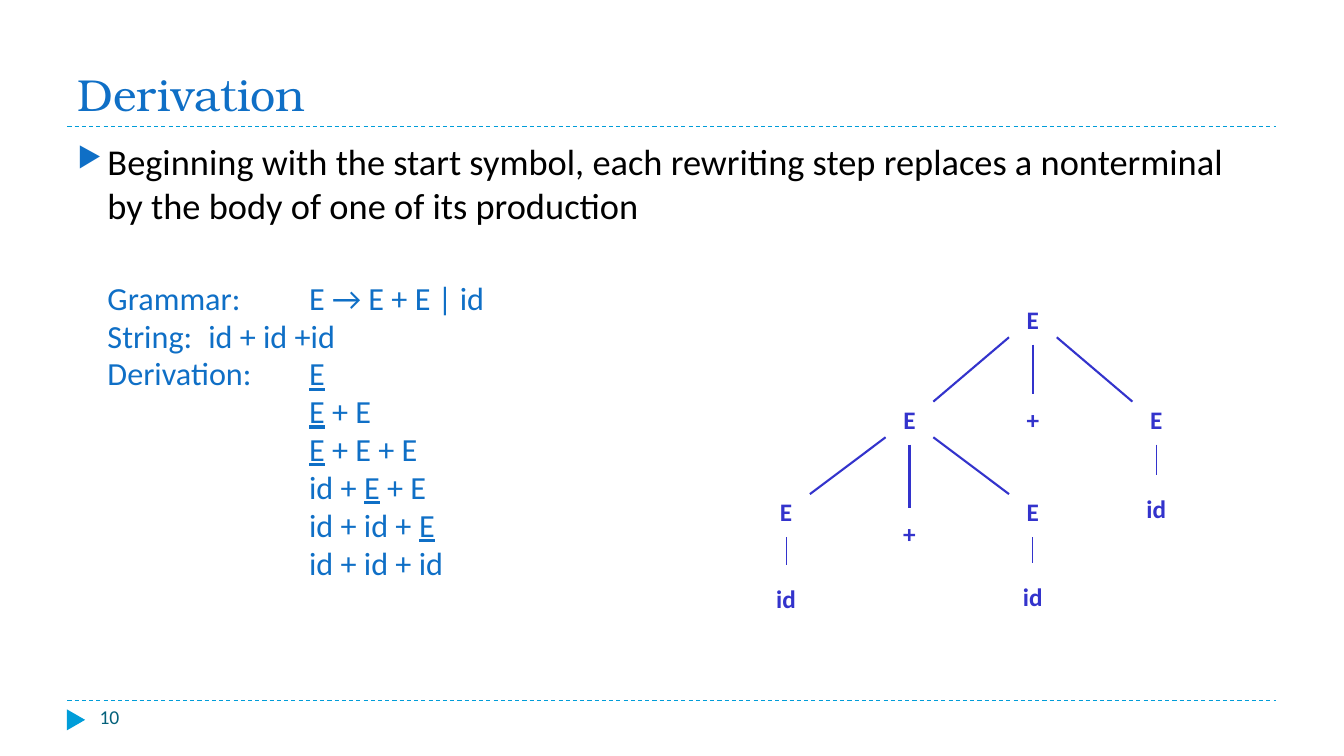
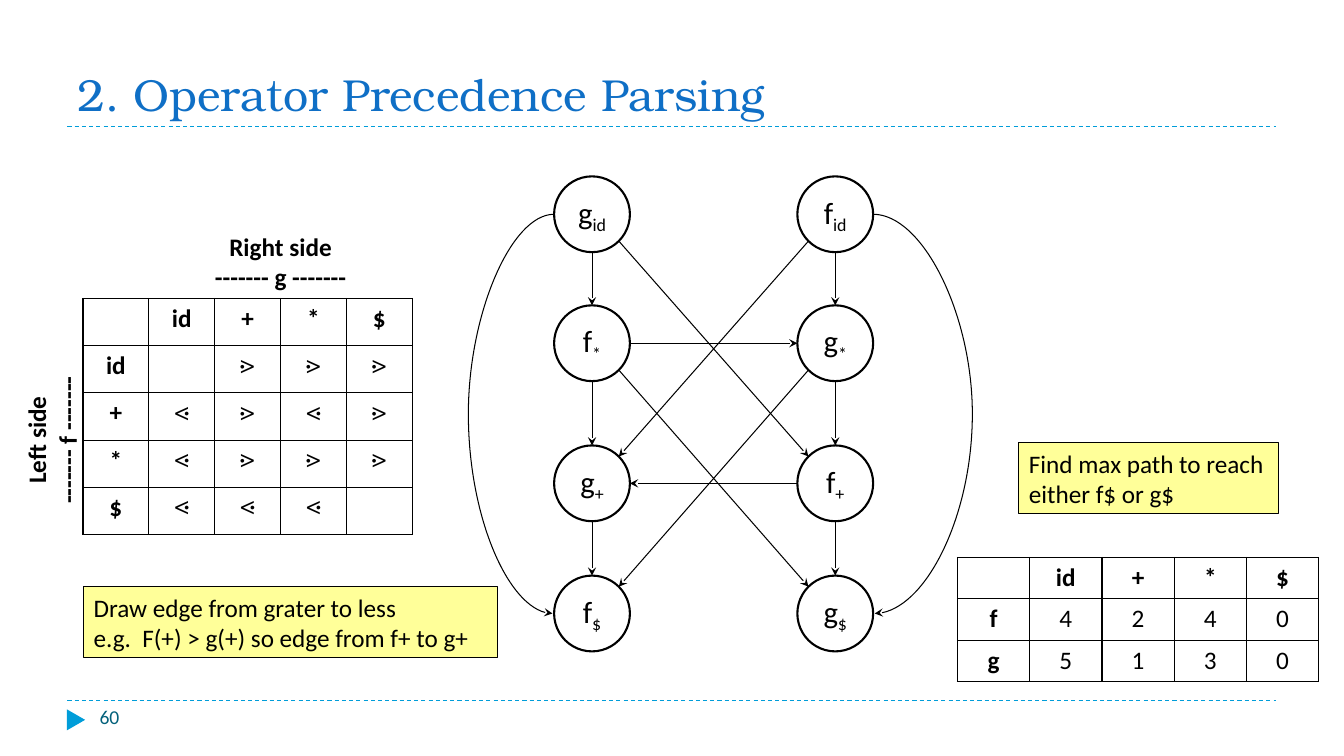
from dataclasses import dataclass

from lxml import etree
from pptx import Presentation
from pptx import util as u
from pptx.dml.color import RGBColor
from pptx.enum import dml, shapes, text
from pptx.oxml.ns import qn

Cm, Pt = u.Cm, u.Pt
BLACK, WHITE, BLUE, CYAN = "000000", "FFFFFF", "0F6FC6", "009DD9"
TEAL, INDIGO, YELLOW = "04617B", "3333CC", "FFFF99"
CENTER, LEFT = text.PP_ALIGN.CENTER, text.PP_ALIGN.LEFT
BODY = dict(name="Calibri", size=Pt(18), bold=False)
NO_STYLE = "{2D5ABB26-0587-4C30-8999-92F81FD0307C}"
SUBSCRIPT = "-25000"


@dataclass
class Node:
    key: str
    label: str
    x: float  # centre
    y: float
    w: float
    h: float


@dataclass
class Grid:
    x: float
    y: float
    col: float
    rows: list[float]
    cells: list[list[str]]
    first: int = 0  # first ruled row and column
    inner_font: str = "Calibri"


@dataclass
class Note:
    x: float
    y: float
    w: float
    lines: list[str]


def rgb(value: str) -> RGBColor:
    return RGBColor.from_string(value)


def style(obj, **values) -> None:
    for name, value in values.items():
        setattr(obj, name, value)


def child(parent, tag: str, **attrs):
    return etree.SubElement(parent, qn(tag), attrs)


def write(tf, lines: list[str], color: str = BLACK, align=LEFT,
          underline: bool = False, **fmt) -> None:
    """Fill a frame; text between underscores is underlined or lowered."""
    for i, line in enumerate(lines):
        p = tf.paragraphs[0] if i == 0 else tf.add_paragraph()
        p.alignment = align
        for j, part in enumerate(line.split("_")):
            if not part:
                continue
            r = p.add_run()
            r.text = part
            style(r.font, **{**BODY, **fmt})
            r.font.color.rgb = rgb(color)
            if j % 2 and underline:
                r.font.underline = True
            elif j % 2:
                r.font._element.set("baseline", SUBSCRIPT)


def textbox(s, x: float, y: float, w: float, h: float):
    tf = s.shapes.add_textbox(Cm(x), Cm(y), Cm(w), Cm(h)).text_frame
    tf.word_wrap = True
    return tf


def add_shape(s, kind, x: float, y: float, w: float, h: float,
              fill: str = "", line: str = "", width: float = 0.75):
    sp = s.shapes.add_shape(kind, Cm(x), Cm(y), Cm(w), Cm(h))
    sp.shadow.inherit = False
    for color, part in ((fill, sp.fill), (line, sp.line.fill)):
        if color:
            part.solid()
            part.fore_color.rgb = rgb(color)
        else:
            part.background()
    if line:
        sp.line.width = Pt(width)
    return sp


def connect(s, start, end, color: str, width: float = 0.75, dash: bool = False,
            arrow: bool = False, kind=shapes.MSO_CONNECTOR.STRAIGHT):
    cx = s.shapes.add_connector(kind, *map(int, (*start, *end)))
    cx.line.color.rgb = rgb(color)
    cx.line.width = Pt(width)
    if dash:
        cx.line.dash_style = dml.MSO_LINE.DASH
    spPr = cx._element.spPr
    if arrow:
        child(spPr.find(qn("a:ln")), "a:tailEnd", type="stealth")
    child(spPr, "a:effectLst")
    return cx


def site(sp, dx: int, dy: int) -> tuple[float, float]:
    """Point on an ellipse in one of eight directions."""
    k = 0.5 ** 0.5 if dx and dy else 1
    return (sp.left + sp.width / 2 * (1 + k * dx),
            sp.top + sp.height / 2 * (1 + k * dy))


def link(s, a, b, color: str, width: float = 0.75, arrow: bool = False) -> None:
    """Join two ellipses on the sides that face each other."""
    (ax, ay), (bx, by) = site(a, 0, 0), site(b, 0, 0)
    gap = Cm(0.1)
    dx, dy = ((d > gap) - (d < -gap) for d in (bx - ax, by - ay))
    connect(s, site(a, dx, dy), site(b, -dx, -dy), color, width, arrow=arrow)


def arc(s, a, b, side: int, depth: float) -> None:
    """Curved arrow that leaves and enters on the same side."""
    step = 0.04
    (x, y1), (_, y2) = site(a, side, 0), site(b, side, 0)
    cx = connect(s, (x, y1), (x + side * Cm(step), y2), BLACK, arrow=True,
                 kind=shapes.MSO_CONNECTOR.CURVE)
    geom = cx._element.spPr.find(qn("a:prstGeom"))
    av = geom.find(qn("a:avLst"))
    if av is None:
        av = child(geom, "a:avLst")
    child(av, "a:gd", name="adj1", fmla=f"val {round(depth / step * 100000)}")


def add_nodes(s, nodes: list[Node], color: str, fill: str = "", line: str = "",
              **fmt) -> dict:
    made = {}
    for n in nodes:
        sp = add_shape(s, shapes.MSO_SHAPE.OVAL, n.x - n.w / 2, n.y - n.h / 2,
                       n.w, n.h, fill, line, 1.5)
        tf = sp.text_frame
        style(tf, margin_left=0, margin_right=0, margin_top=0, margin_bottom=0,
              word_wrap=False, vertical_anchor=text.MSO_ANCHOR.MIDDLE)
        write(tf, [n.label], color, CENTER, **fmt)
        made[n.key] = sp
    return made


def add_grid(s, g: Grid):
    ncols = len(g.cells[0])
    table = s.shapes.add_table(len(g.rows), ncols, Cm(g.x), Cm(g.y),
                               Cm(g.col * ncols), Cm(sum(g.rows))).table
    style(table, first_row=False, horz_banding=False)
    table._tbl.tblPr.find(qn("a:tableStyleId")).text = NO_STYLE
    for column in table.columns:
        column.width = Cm(g.col)
    for i, (height, values) in enumerate(zip(g.rows, g.cells)):
        table.rows[i].height = Cm(height)
        for j, value in enumerate(values):
            cell = table.cell(i, j)
            head = i <= g.first or j <= g.first
            if value:
                write(cell.text_frame, value.split("\n"), align=CENTER, bold=head,
                      name="Calibri" if head else g.inner_font)
            if min(i, j) >= g.first:
                for edge in "LRTB":
                    ln = child(cell._tc.get_or_add_tcPr(), f"a:ln{edge}", w="12700")
                    child(child(ln, "a:solidFill"), "a:srgbClr", val=BLACK)
            cell.fill.background()
    return table


def add_note(s, n: Note) -> None:
    sp = add_shape(s, shapes.MSO_SHAPE.RECTANGLE, n.x, n.y, n.w, 1.8, YELLOW, BLACK)
    sp.text_frame.word_wrap = True
    write(sp.text_frame, n.lines)


def new_slide(prs, title: str, number: int):
    s = prs.slides.add_slide(prs.slide_layouts[5])
    # Dashed rules, page marker and number
    for y in (17.65, 3.18):
        connect(s, (Cm(1.7), Cm(y)), (Cm(32.16), Cm(y)), CYAN, dash=True)
    marker = add_shape(s, shapes.MSO_SHAPE.ISOSCELES_TRIANGLE,
                       1.65, 17.91, 0.53, 0.46, CYAN)
    marker.rotation = 90
    write(textbox(s, 2.26, 17.65, 7.34, 1.02), [str(number)], TEAL, size=Pt(14))
    # Title
    sp = s.shapes.title
    style(sp, left=Cm(1.7), top=Cm(0.43), width=Cm(30.48), height=Cm(2.74))
    style(sp.text_frame, vertical_anchor=text.MSO_ANCHOR.BOTTOM,
          auto_size=text.MSO_AUTO_SIZE.NONE, word_wrap=True)
    write(sp.text_frame, [title], BLUE, name="TeX Gyre Bonum", size=Pt(32))
    return s


def derivation_slide(prs) -> None:
    s = new_slide(prs, "Derivation", 10)
    # Bulleted definition
    tf = textbox(s, 1.7, 3.38, 30.48, 2.6)
    pPr = tf.paragraphs[0]._p.get_or_add_pPr()
    pPr.set("marL", str(Cm(0.76)))
    pPr.set("indent", str(-Cm(0.76)))
    child(child(pPr, "a:buClr"), "a:srgbClr", val=BLUE)
    child(pPr, "a:buSzPct", val="76000")
    child(pPr, "a:buChar", char="▶")
    write(tf, ["Beginning with the start symbol, each rewriting step replaces "
               "a nonterminal by the body of one of its production"], size=Pt(26))

    # Worked derivation; later steps line up under the first
    tf = textbox(s, 2.46, 6.93, 14, 8.2)
    lines = ["Grammar:\tE → E + E | id", "String:\tid + id +id", "Derivation:\t_E_",
             "_E_ + E", "_E_ + E + E", "id + _E_ + E", "id + id + _E_", "id + id + id"]
    write(tf, lines, BLUE, underline=True, size=Pt(23))
    for p, line in zip(tf.paragraphs, lines):
        p.line_spacing = 0.98
        pPr = p._p.get_or_add_pPr()
        if "\t" in line:
            stop = 2.54 if line.startswith("String") else 5.08
            child(child(pPr, "a:tabLst"), "a:tab", pos=str(Cm(stop)), algn="l")
        else:
            pPr.set("marL", str(Cm(5.08)))
            pPr.set("indent", "0")

    # Parse tree
    cols = [19.81 + 3.11 * i for i in range(4)]
    small, wide = (1.7, 1.27), (2.39, 1.7)
    nodes = [Node(key, label, cols[col], y, *(wide if label == "id" else small))
             for key, label, col, y in (
                 ("root", "E", 2, 8.05),
                 ("left", "E", 1, 10.57), ("plus", "+", 2, 10.57),
                 ("right", "E", 3, 10.57), ("right id", "id", 3, 12.81),
                 ("low left", "E", 0, 12.9), ("low plus", "+", 1, 13.44),
                 ("low right", "E", 2, 12.9),
                 ("left id", "id", 0, 15.08), ("middle id", "id", 2, 15.03))]
    tree = add_nodes(s, nodes, INDIGO, bold=True)
    edges = {"root": ("left", "plus", "right"),
             "left": ("low left", "low plus", "low right"),
             "right": ("right id",), "low left": ("left id",),
             "low right": ("middle id",)}
    for parent, children in edges.items():
        for kid in children:
            link(s, tree[parent], tree[kid], INDIGO, 1.5 if len(children) > 1 else 0.75)


def precedence_slide(prs) -> None:
    s = new_slide(prs, "2. Operator Precedence Parsing", 60)
    # Precedence relations
    table = add_grid(s, Grid(0.43, 5.72, 1.66, [1.8] + [1.19] * 5, [
        ["", "", "Right side\n------- g -------", "", "", ""],
        ["", "", "id", "+", "*", "$"],
        ["Left side\n------- f -------", "id", "", "⋗", "⋗", "⋗"],
        ["", "+", "⋖", "⋗", "⋖", "⋗"],
        ["", "*", "⋖", "⋗", "⋗", "⋗"],
        ["", "$", "⋖", "⋖", "⋖", ""]], 1, "Times New Roman"))
    table.cell(0, 2).merge(table.cell(0, 5))
    table.cell(2, 0).merge(table.cell(5, 0))
    table.cell(2, 0)._tc.get_or_add_tcPr().set("vert", "vert270")

    # Precedence graph
    columns = {14.92: ("g_id", "f_*", "g_+", "f_$"),
               21.05: ("f_id", "g_*", "f_+", "g_$")}
    nodes = [Node(key, key, x, y, 1.91, 1.91) for x, keys in columns.items()
             for key, y in zip(keys, (5.4, 8.65, 12.18, 15.46))]
    graph = add_nodes(s, nodes, BLACK, WHITE, BLACK, size=Pt(22))
    pairs = [("f_*", "g_*"), ("f_+", "g_+"), ("f_id", "g_+"), ("g_*", "f_$"),
             ("g_id", "f_+"), ("f_*", "g_$")]
    for keys in columns.values():
        pairs += zip(keys, keys[1:])
    for a, b in pairs:
        link(s, graph[a], graph[b], BLACK, arrow=True)
    arc(s, graph["f_id"], graph["g_$"], 1, 2.5)
    arc(s, graph["g_id"], graph["f_$"], -1, 2.16)

    # Notes and resulting function values
    for note in (Note(2.11, 14.78, 10.44, ["Draw edge from grater to less",
                                           "e.g.  F(+) > g(+) so edge from f+ to g+"]),
                 Note(25.68, 11.15, 6.53, ["Find max path to reach",
                                           "either f$ or g$"])):
        add_note(s, note)
    add_grid(s, Grid(24.13, 14.05, 1.82, [1.04] * 3, [
        ["", "id", "+", "*", "$"],
        ["f", "4", "2", "4", "0"],
        ["g", "5", "1", "3", "0"]]))


def main() -> None:
    prs = Presentation()
    style(prs, slide_width=Cm(33.87), slide_height=Cm(19.05))
    derivation_slide(prs)
    precedence_slide(prs)
    prs.save("out.pptx")


if __name__ == "__main__":
    main()
